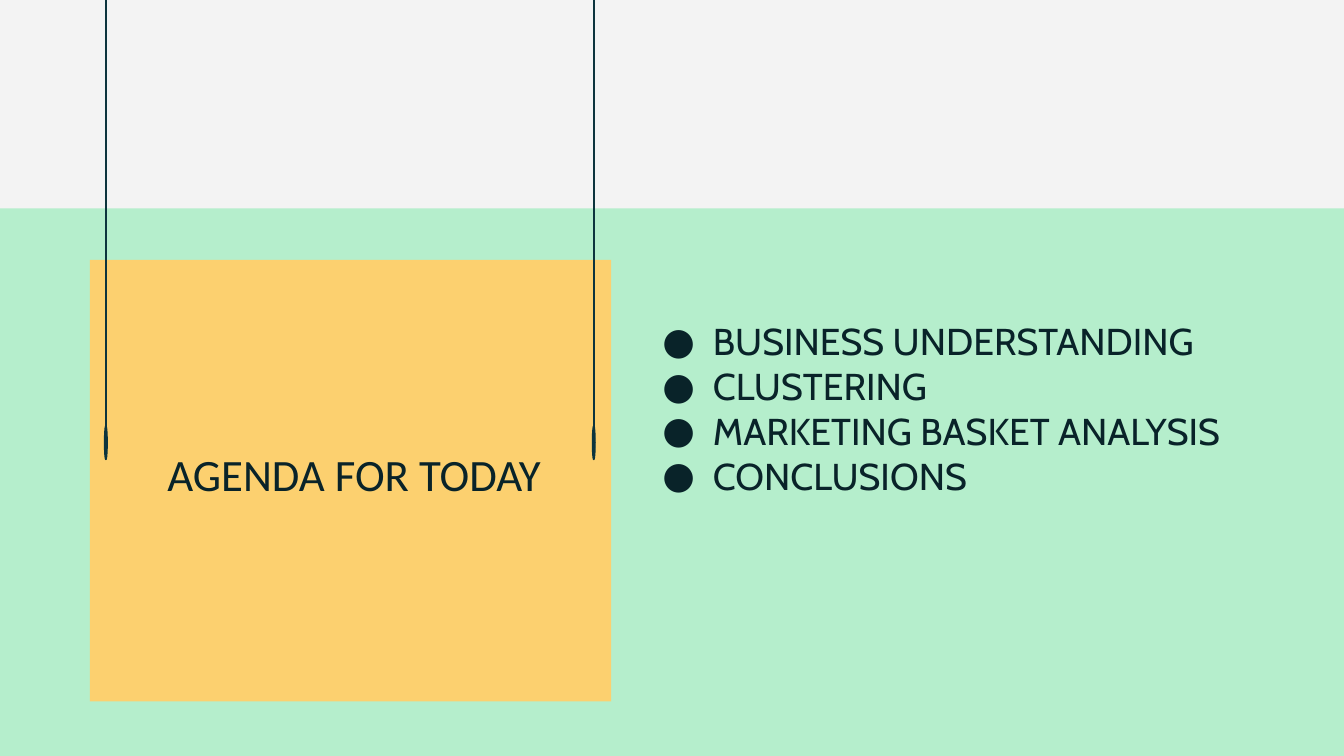
from dataclasses import dataclass

from lxml import etree
from pptx import Presentation
from pptx.dml.color import RGBColor
from pptx.enum.shapes import MSO_CONNECTOR, MSO_SHAPE
from pptx.enum.text import MSO_ANCHOR, MSO_AUTO_SIZE, PP_ALIGN
from pptx.oxml.ns import qn
from pptx.util import Pt

RECT, OVAL = MSO_SHAPE.RECTANGLE, MSO_SHAPE.OVAL
STRAIGHT = MSO_CONNECTOR.STRAIGHT
TOP, MIDDLE = MSO_ANCHOR.TOP, MSO_ANCHOR.MIDDLE
LEFT, CENTER = PP_ALIGN.LEFT, PP_ALIGN.CENTER
NO_FIT = MSO_AUTO_SIZE.NONE


@dataclass(frozen=True)
class Theme:
    background = RGBColor.from_string("F3F3F3")
    band = RGBColor.from_string("B5EECC")
    card = RGBColor.from_string("FCD06F")
    cord = RGBColor.from_string("0C343D")
    text = RGBColor.from_string("092329")
    title_font, title_size = "Calibri", 24
    body_font, body_size = "Cabin", 20


theme = Theme()


def add_filled(shape_type, x, y, w, h, color):
    sp = s.shapes.add_shape(shape_type, Pt(x), Pt(y), Pt(w), Pt(h))
    sp.shadow.inherit = False
    sp.fill.solid()
    sp.fill.fore_color.rgb = color
    sp.line.fill.background()
    return sp


def write_text(sp, lines, font, size, align, **frame_format):
    tf = sp.text_frame
    frame = {"word_wrap": True, "auto_size": NO_FIT, "margin_left": Pt(7.2),
             "margin_right": Pt(7.2), "margin_top": Pt(7.2),
             "margin_bottom": Pt(7.2), **frame_format}
    for name, value in frame.items():
        setattr(tf, name, value)
    for i, line in enumerate(lines):
        p = tf.paragraphs[0] if i == 0 else tf.add_paragraph()
        p.alignment = align
        r = p.add_run()
        r.text = line
        for name, value in {"name": font, "size": Pt(size)}.items():
            setattr(r.font, name, value)
        r.font.color.rgb = theme.text
    return tf


prs = Presentation()
prs.slide_width, prs.slide_height = Pt(720), Pt(405)
s = prs.slides.add_slide(prs.slide_layouts[5])
s.background.fill.solid()
s.background.fill.fore_color.rgb = theme.background

# Green band and hanging card
add_filled(RECT, 0, 111.6, 720, 293.4, theme.band)
add_filled(RECT, 48.2, 139.2, 279.2, 236.6, theme.card)

# Cords with a pin at the lower end
for x in (56.7, 318.1):
    cord = s.shapes.add_connector(STRAIGHT, Pt(x), Pt(0), Pt(x), Pt(236.9))
    cord.line.color.rgb = theme.cord
    cord.line.width = Pt(1)
    etree.SubElement(cord._element.spPr, qn("a:effectLst"))
    pin = add_filled(OVAL, x - 0.7, 228.2, 1.4, 18, theme.cord)
    pin.line.color.rgb = theme.cord
    pin.line.width = Pt(0.75)

# Title, raised above the card
title = s.shapes.title
for name, value in {"left": 69.1, "top": 160.6, "width": 241.2, "height": 185.8}.items():
    setattr(title, name, Pt(value))
write_text(title, ["AGENDA FOR TODAY"], theme.title_font, theme.title_size,
           CENTER, vertical_anchor=MIDDLE)
s.shapes._spTree.append(title._element)

# Agenda, starting one line below the top of the card
agenda = s.shapes.add_textbox(Pt(347.8), Pt(139.2), Pt(315.4), Pt(236.6))
tf = write_text(
    agenda,
    ["BUSINESS UNDERSTANDING", "CLUSTERING", "MARKETING BASKET ANALYSIS", "CONCLUSIONS"],
    theme.body_font, theme.body_size, LEFT, vertical_anchor=TOP, margin_top=Pt(31.5))
for p in tf.paragraphs:
    pPr = p._p.get_or_add_pPr()
    pPr.set("marL", str(Pt(27)))
    pPr.set("indent", str(Pt(-27)))
    bullet_color = etree.SubElement(pPr, qn("a:buClr"))
    etree.SubElement(bullet_color, qn("a:srgbClr"), val=str(theme.text))
    etree.SubElement(pPr, qn("a:buFont"), typeface=theme.body_font)
    etree.SubElement(pPr, qn("a:buChar"), char="●")

prs.save("out.pptx")
